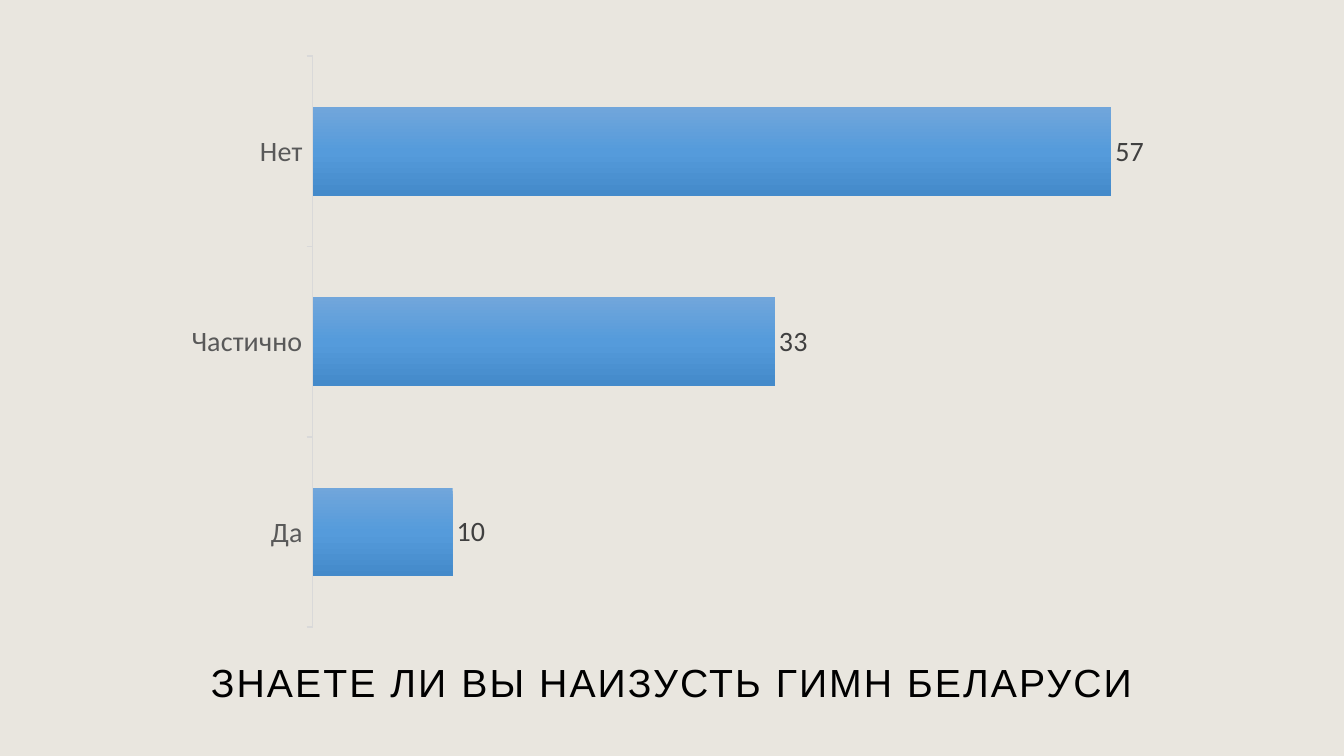
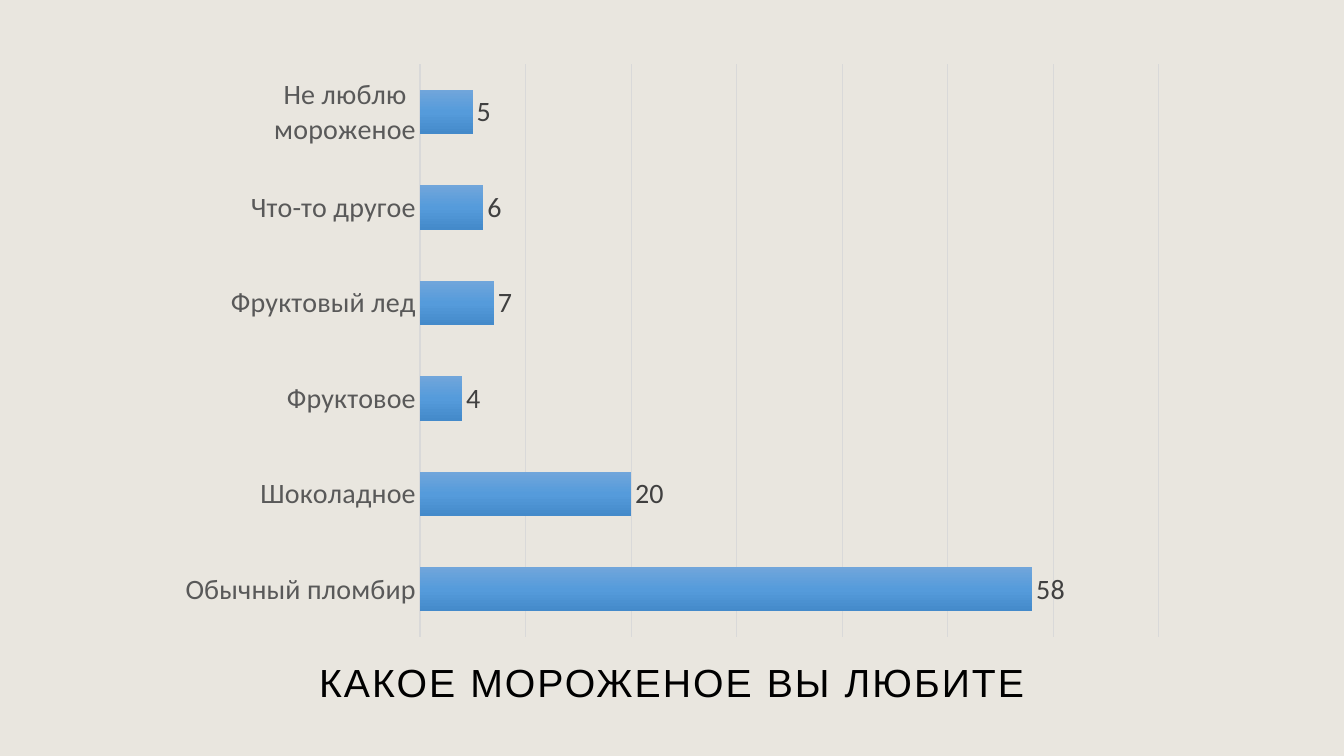
from copy import deepcopy
from dataclasses import dataclass

from pptx import Presentation
from pptx.chart.data import CategoryChartData
from pptx.dml.color import RGBColor
from pptx.enum.chart import XL_CHART_TYPE, XL_LABEL_POSITION, XL_TICK_LABEL_POSITION, XL_TICK_MARK
from pptx.enum.text import MSO_ANCHOR, MSO_AUTO_SIZE, PP_ALIGN
from pptx.oxml.ns import qn
from pptx.util import Pt


@dataclass(frozen=True)
class Theme:
    background: str = "E9E6DF"
    title_color: str = "000000"
    category_color: str = "595959"
    value_color: str = "404040"
    line_color: str = "D9D9D9"
    bar_gradient: tuple = ((0, "71A6DB"), (0.5, "559BDB"), (1, "448ACA"))
    title_font: str = "Arial"
    chart_font: str = "Calibri"
    title_size: int = 28
    chart_size: int = 20
    title_spacing: float = 1.5


@dataclass(frozen=True)
class Box:
    """A region of the slide, in points."""
    left: float
    top: float
    width: float
    height: float

    def lengths(self):
        return [Pt(value) for value in (self.left, self.top, self.width, self.height)]


THEME = Theme()
SLIDE_WIDTH, SLIDE_HEIGHT = 960, 540
TITLE_BOX = Box(73.5, 463.5, 813, 51)

SURVEYS = (
    dict(
        title="ЗНАЕТЕ ЛИ ВЫ НАИЗУСТЬ ГИМН БЕЛАРУСИ",
        answers={"Да": 10, "Частично": 33, "Нет": 57},
        box=Box(122.5, 31.7, 715.7, 424.8),
        axis_maximum=60,
        tick_mark=XL_TICK_MARK.OUTSIDE,
        gridlines=False,
    ),
    dict(
        title="КАКОЕ МОРОЖЕНОЕ ВЫ ЛЮБИТЕ",
        answers={
            "Обычный пломбир": 58,
            "Шоколадное": 20,
            "Фруктовое": 4,
            "Фруктовый лед": 7,
            "Что-то другое": 6,
            "Не люблю мороженое": 5,
        },
        box=Box(118, 37.4, 724.3, 426.2),
        axis_maximum=70,
        tick_mark=XL_TICK_MARK.NONE,
        gridlines=True,
    ),
)


def rgb(color):
    return RGBColor.from_string(color)


def format_font(font, name, size, color):
    font.name = name
    font.size = Pt(size)
    font.bold = False
    font.color.rgb = rgb(color)


def format_line(line, width):
    line.color.rgb = rgb(THEME.line_color)
    line.width = Pt(width)


def write_text(frame, text, *, font, size, color, align, line_spacing=1.0, letter_spacing=0):
    frame.word_wrap = True
    frame.auto_size = MSO_AUTO_SIZE.NONE
    frame.vertical_anchor = MSO_ANCHOR.MIDDLE
    para = frame.paragraphs[0]
    para.alignment = align
    para.line_spacing = line_spacing
    span = para.add_run()
    span.text = text
    format_font(span.font, font, size, color)
    span.font._element.set("spc", str(round(letter_spacing * 100)))


def place_title(page, text, box):
    title = page.shapes.title
    title.left, title.top, title.width, title.height = box.lengths()
    write_text(
        title.text_frame, text,
        font=THEME.title_font, size=THEME.title_size, color=THEME.title_color,
        align=PP_ALIGN.CENTER, line_spacing=0.9, letter_spacing=THEME.title_spacing,
    )


def fill_bars(series):
    """Give the bars the theme's gradient, running from top to bottom."""
    fill = series.format.fill
    fill.gradient()
    fill.gradient_angle = 270
    stop_list = series._element.find(".//" + qn("a:gsLst"))
    while len(stop_list) < len(THEME.bar_gradient):
        stop_list.append(deepcopy(stop_list[0]))
    for stop, (position, color) in zip(fill.gradient_stops, THEME.bar_gradient):
        stop.position = position
        stop.color.rgb = rgb(color)


def place_chart(page, answers, box, axis_maximum, tick_mark, gridlines):
    data = CategoryChartData()
    data.categories = list(answers)
    data.add_series("Series 1", list(answers.values()))
    chart = page.shapes.add_chart(XL_CHART_TYPE.BAR_CLUSTERED, *box.lengths(), data).chart
    chart.has_title = False
    chart.has_legend = False
    chart.font.name = THEME.chart_font

    categories = chart.category_axis
    categories.major_tick_mark = tick_mark
    categories.minor_tick_mark = XL_TICK_MARK.NONE
    categories.tick_label_position = XL_TICK_LABEL_POSITION.NEXT_TO_AXIS
    format_line(categories.format.line, 1)
    format_font(categories.tick_labels.font, THEME.chart_font, THEME.chart_size, THEME.category_color)

    values = chart.value_axis
    values.visible = False
    values.minimum_scale = 0
    values.maximum_scale = axis_maximum
    values.major_unit = 10
    values.has_major_gridlines = gridlines
    if gridlines:
        format_line(values.major_gridlines.format.line, 0.75)

    plot = chart.plots[0]
    plot.gap_width = 115
    plot.overlap = -20
    plot.vary_by_categories = False
    plot.has_data_labels = True
    labels = plot.data_labels
    labels.show_value = True
    labels.position = XL_LABEL_POSITION.OUTSIDE_END
    format_font(labels.font, THEME.chart_font, THEME.chart_size, THEME.value_color)
    fill_bars(plot.series[0])


def add_survey_slide(deck, title, **chart_options):
    page = deck.slides.add_slide(deck.slide_layouts.get_by_name("Title Only"))
    place_title(page, title, TITLE_BOX)
    place_chart(page, **chart_options)


def main():
    deck = Presentation()
    deck.slide_width, deck.slide_height = Pt(SLIDE_WIDTH), Pt(SLIDE_HEIGHT)
    background = deck.slide_master.background.fill
    background.solid()
    background.fore_color.rgb = rgb(THEME.background)
    for survey in SURVEYS:
        add_survey_slide(deck, **survey)
    deck.save("out.pptx")


if __name__ == "__main__":
    main()
